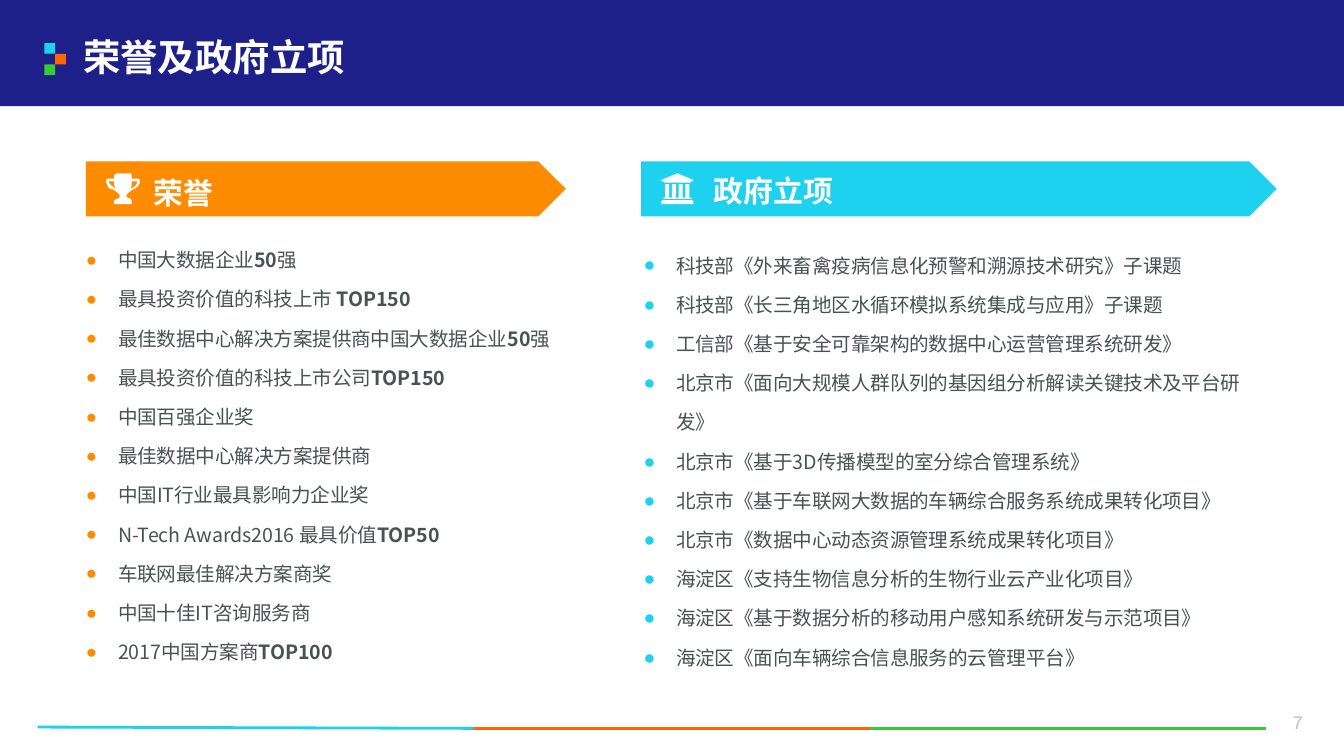
from lxml.etree import SubElement
from pptx import Presentation
from pptx.dml.color import RGBColor
from pptx.enum.shapes import MSO_CONNECTOR as Line, MSO_SHAPE as Shape
from pptx.enum.text import MSO_ANCHOR as Anchor, PP_ALIGN as Align
from pptx.oxml.ns import qn
from pptx.util import Inches, Pt

# Content: a row is a list of spans, every second span is bold
TITLE = "荣誉及政府立项"
PAGE_NUMBER = "7"
HONOURS = [
    ["中国大数据企业", "50", "强"],
    ["最具投资价值的科技上市 ", "TOP150"],
    ["最佳数据中心解决方案提供商中国大数据企业", "50", "强"],
    ["最具投资价值的科技上市公司", "TOP150"],
    ["中国百强企业奖"],
    ["最佳数据中心解决方案提供商"],
    ["中国IT行业最具影响力企业奖"],
    ["N-Tech Awards2016 最具价值", "TOP50"],
    ["车联网最佳解决方案商奖"],
    ["中国十佳IT咨询服务商"],
    ["2017中国方案商", "TOP100"],
]
PROJECTS = [
    ["科技部《外来畜禽疫病信息化预警和溯源技术研究》子课题"],
    ["科技部《长三角地区水循环模拟系统集成与应用》子课题"],
    ["工信部《基于安全可靠架构的数据中心运营管理系统研发》"],
    ["北京市《面向大规模人群队列的基因组分析解读关键技术及平台研发》"],
    ["北京市《基于3D传播模型的室分综合管理系统》"],
    ["北京市《基于车联网大数据的车辆综合服务系统成果转化项目》"],
    ["北京市《数据中心动态资源管理系统成果转化项目》"],
    ["海淀区《支持生物信息分析的生物行业云产业化项目》"],
    ["海淀区《基于数据分析的移动用户感知系统研发与示范项目》"],
    ["海淀区《面向车辆综合信息服务的云管理平台》"],
]
COLORS = {"navy": "1D2088", "cyan": "1DD1EF", "red": "FF6600", "green": "33CC33",
          "orange": "FF8C00", "text": "4B5050", "white": "FFFFFF", "grey": "BFBFBF"}
ACCENTS = ["cyan", "red", "green"]
FONT = "Noto Sans CJK SC"
DEFAULT_INSETS = (0.1, 0.05, 0.1, 0.05)

# Icon outlines in hundredths of an inch; the trophy is mirrored about x = 12.5
CUP = [(0, 0), (5, 0), (6.5, 1), (6.8, 2), (6.8, 4), (11.5, 4), (12.5, 5), (12.5, 7),
       (11.5, 9), (10, 11), (7.5, 12.5), (4.5, 13.5), (2.5, 15.5), (2.2, 17), (3, 18.5),
       (5, 19), (6.8, 20.5), (6.8, 22.5), (6.3, 23), (0, 23)]
HANDLE = [(6.8, 6), (10.5, 6), (10.5, 7), (9, 9), (5.5, 11.5), (6.5, 9)]


def mirrored(points, side):
    return [(12.5 + side * x, y) for x, y in points]


TROPHY = [mirrored(CUP, 1) + mirrored(CUP[::-1], -1),
          mirrored(HANDLE, 1), mirrored(HANDLE, -1)]
COLUMNS = [(x + dx, y) for x in (3, 8, 13, 18)
           for dx, y in ((0, 18), (0, 8), (3, 8), (3, 18))]
BANK = [
    [(12, 0), (24, 5), (24, 6.2), (22, 6.2), (22, 7.2), (2, 7.2), (2, 6.2), (0, 6.2), (0, 5)],
    [(2, 18), *COLUMNS, (22, 18), (23, 19), (1, 19)],
    [(1, 20), (23, 20), (24, 21), (24, 23), (0, 23), (0, 21)],
]

# Each section: heading, rows, colour, banner left and width, icon,
# heading box left and top, list box, list insets, bullet size
SECTIONS = [
    ("荣誉", HONOURS, "orange", 0.64, 3.57, TROPHY, (0.06, 0.91),
     (0.54, 1.71, 3.74, 3.34), (0.1, 0.02, 0.1, 0.05), 95),
    ("政府立项", PROJECTS, "cyan", 4.77, 4.73, BANK, (4.45, 0.9),
     (4.7, 1.71, 4.87, 3.14), (0.09, 0.06, 0.1, 0.05), 100),
]

# A 16:9 slide, ten inches wide
deck = Presentation()
deck.slide_width = Inches(10)
deck.slide_height = deck.slide_width * 9 // 16
page = deck.slides.add_slide(deck.slide_layouts[6])


def rgb(name):
    return RGBColor.from_string(COLORS[name])


def paint(shape, color):
    shape.shadow.inherit = False
    shape.fill.solid()
    shape.fill.fore_color.rgb = rgb(color)
    shape.line.fill.background()


def add_block(kind, place, color):
    paint(page.shapes.add_shape(kind, *map(Inches, place)), color)


def add_icon(contours, left, top):
    first, *others = contours
    builder = page.shapes.build_freeform(*first[0], scale=Inches(0.01))
    builder.add_line_segments(first[1:])
    for contour in others:
        builder.move_to(*contour[0])
        builder.add_line_segments(contour[1:])
    paint(builder.convert_to_shape(Inches(left), Inches(top)), "white")


def add_box(place, insets=DEFAULT_INSETS, anchor=Anchor.TOP, wrap=True):
    frame = page.shapes.add_textbox(*map(Inches, place)).text_frame
    frame.word_wrap, frame.vertical_anchor = wrap, anchor
    (frame.margin_left, frame.margin_top,
     frame.margin_right, frame.margin_bottom) = map(Inches, insets)
    return frame


def style(span, size, color, bold=False, font=FONT):
    span.font.size, span.font.bold, span.font.name = Pt(size), bold, font
    span.font.color.rgb = rgb(color)
    SubElement(span.font._element, qn("a:ea"), typeface=font)


def add_line(place, text, size, color, spacing=1.0, align=Align.LEFT,
             bold=True, font=FONT, **options):
    para = add_box(place, **options).paragraphs[0]
    para.text, para.alignment, para.line_spacing = text, align, spacing
    style(para.runs[0], size, color, bold, font)


def add_bullet(para, color, size):
    props = para._p.get_or_add_pPr()
    props.set("marL", str(Inches(0.24)))
    props.set("indent", str(-Inches(0.24)))
    SubElement(SubElement(props, qn("a:buClr")), qn("a:srgbClr"), val=COLORS[color])
    SubElement(props, qn("a:buSzPct"), val=str(size * 1000))
    SubElement(props, qn("a:buFont"), typeface="Arial")
    SubElement(props, qn("a:buChar"), char="●")


def add_list(frame, rows, color, bullet_size):
    for index, row in enumerate(rows):
        para = frame.add_paragraph() if index else frame.paragraphs[0]
        add_bullet(para, color, bullet_size)
        para.line_spacing = Pt(21)
        for position, text in enumerate(row):
            span = para.add_run()
            span.text = text
            style(span, 10.5, "text", bold=position % 2 == 1)


# Header band, accent squares and title
add_block(Shape.RECTANGLE, (0, 0, 10, 0.79), "navy")
for index, color in enumerate(ACCENTS):
    add_block(Shape.RECTANGLE, (0.33 + 0.08 * (index % 2), 0.32 + 0.08 * index, 0.08, 0.08), color)
add_line((0.52, 0.2, 9.17, 0.48), TITLE, 20, "white", spacing=0.9, anchor=Anchor.MIDDLE)

# Footer rule and page number
STOPS = [(0.28, 5.41), (3.52, 5.42), (6.47, 5.42), (9.42, 5.42)]
for start, end, color in zip(STOPS, STOPS[1:], ACCENTS):
    rule = page.shapes.add_connector(Line.STRAIGHT, *map(Inches, start + end))
    rule.line.color.rgb, rule.line.width = rgb(color), Pt(1.5)
    SubElement(rule._element.spPr, qn("a:effectLst"))
add_line((9.37, 5.21, 0.57, 0.37), PAGE_NUMBER, 9.8, "grey", align=Align.CENTER,
         bold=False, font="Arial", insets=(0.2, 0.1, 0.2, 0.1), wrap=False)

# Two sections: banner, icon, heading and list
for heading, rows, color, left, width, icon, corner, place, insets, bullet_size in SECTIONS:
    add_block(Shape.PENTAGON, (left, 1.2, width, 0.41), color)
    add_icon(icon, left + 0.15, 1.29)
    add_line((*corner, 2.54, 0.96), heading, 16, "white", spacing=1.3, align=Align.CENTER,
             insets=(0.07, 0, 0, 0), anchor=Anchor.MIDDLE)
    add_list(add_box(place, insets=insets), rows, color, bullet_size)

deck.save("out.pptx")
